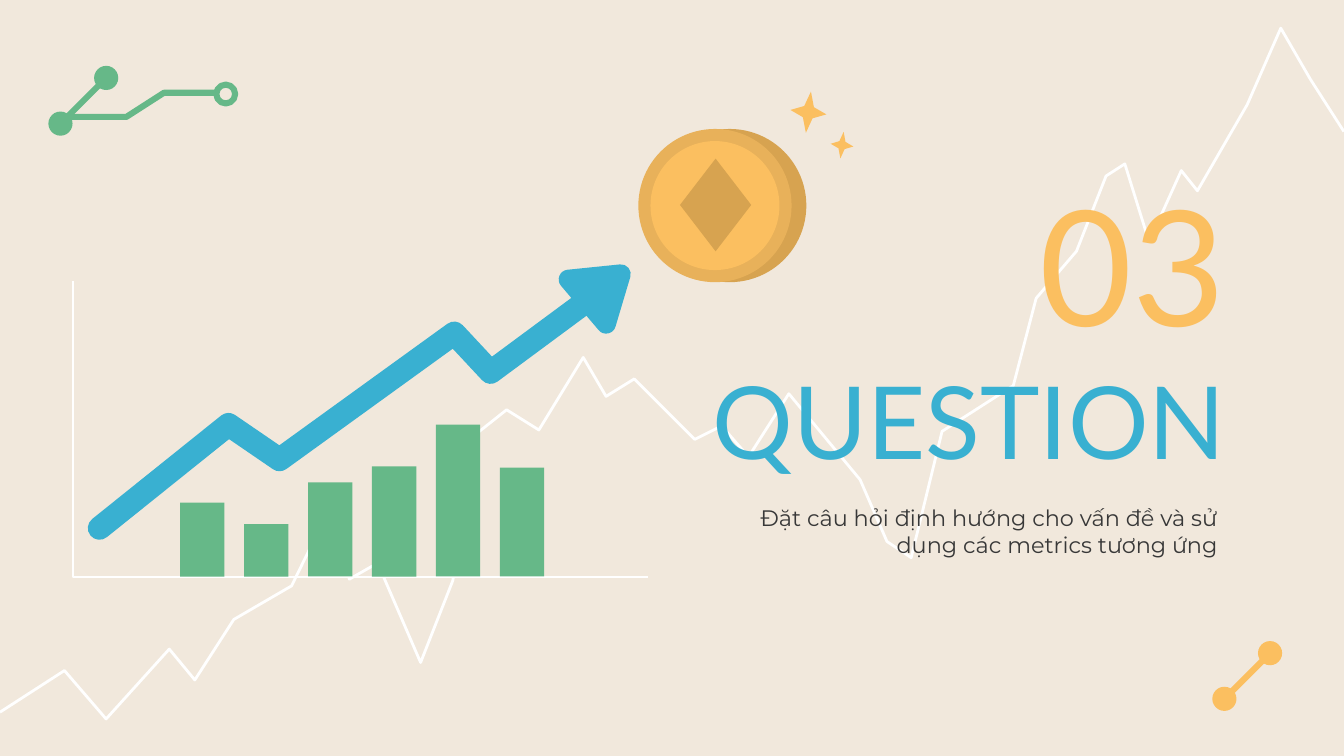
import pptx
import pptx.dml.color
import pptx.enum.shapes
import pptx.enum.text
import pptx.oxml.ns
import pptx.util
from lxml import etree
from pptx.util import Inches

SHAPE = pptx.enum.shapes.MSO_SHAPE
ALIGN = pptx.enum.text.PP_ALIGN
ANCHOR = pptx.enum.text.MSO_ANCHOR

COLORS = {
    "background": "F1E8DC",
    "white": "FFFFFF",
    "green": "66B888",
    "blue": "39B0D1",
    "gold": "FBBF60",
    "gold_rim": "E8B15A",
    "gold_dark": "D7A350",
    "ink": "383838",
}

PRICE_HISTORY = [
    (0, 5.3), (0.48, 4.99), (0.79, 5.35), (1.26, 4.83), (1.45, 5.06),
    (1.74, 4.61), (2.17, 4.36), (2.44, 3.81), (2.6, 4.31), (2.81, 4.19),
    (3.13, 4.93), (3.37, 4.32), (3.53, 3.24), (3.77, 3.05), (4.01, 3.2),
    (4.34, 2.66), (4.51, 2.95), (4.72, 2.82), (5.17, 3.27), (5.37, 3.17),
    (5.57, 3.4), (5.87, 2.93), (6.4, 3.57), (6.6, 4.03), (6.78, 4.15),
    (7.01, 3.21), (7.54, 2.87), (7.71, 2.22), (8.01, 1.87), (8.23, 1.31),
    (8.37, 1.22), (8.55, 1.8), (8.79, 1.27), (8.91, 1.42), (9.28, 0.78),
    (9.53, 0.21), (9.75, 0.59), (10, 0.98),
]
GROWTH_TREND = [(0.74, 3.93), (1.7, 3.16), (2.08, 3.42), (3.38, 2.48),
                (3.65, 2.77), (4.42, 2.2)]
TREND_HEAD = [(4.23, 2.08), (4.62, 2.04), (4.51, 2.41)]

BAR_TOPS = [3.74, 3.9, 3.59, 3.47, 3.16, 3.48]
BAR_LEFT, BAR_WIDTH, BAR_PITCH = 1.34, 0.33, (3.72 - 1.34) / 5
AXIS_LEFT, AXIS_TOP, AXIS_RIGHT, BASELINE = 0.54, 2.09, 4.82, 4.29


def rgb(name):
    return pptx.dml.color.RGBColor.from_string(COLORS[name])


class SlidePainter:
    def __init__(self, slide):
        self.slide = slide
        slide.background.fill.solid()
        slide.background.fill.fore_color.rgb = rgb("background")

    def style(self, shape, fill=None, line=None, width=0):
        shape.shadow.inherit = False
        if fill:
            shape.fill.solid()
            shape.fill.fore_color.rgb = rgb(fill)
        else:
            shape.fill.background()
        if line:
            shape.line.color.rgb = rgb(line)
            shape.line.width = pptx.util.Pt(width)
        else:
            shape.line.fill.background()

    def preset(self, kind, left, top, width, height, fill=None, line=None,
               line_width=0):
        shape = self.slide.shapes.add_shape(
            kind, Inches(left), Inches(top), Inches(width), Inches(height))
        self.style(shape, fill, line, line_width)
        return shape

    def circle(self, center_x, center_y, diameter, fill=None, line=None,
               line_width=0):
        return self.preset(SHAPE.OVAL, center_x - diameter / 2,
                           center_y - diameter / 2, diameter, diameter,
                           fill, line, line_width)

    def path_of(self, points, line, width, fill=None, rounded=False):
        """Draw a polyline; a fill closes it, rounded softens ends and corners."""
        (start_x, start_y), *rest = [(Inches(x), Inches(y)) for x, y in points]
        builder = self.slide.shapes.build_freeform(start_x, start_y)
        builder.add_line_segments(rest, close=fill is not None)
        shape = builder.convert_to_shape()
        self.style(shape, fill, line, width)
        if rounded:
            stroke = shape._element.spPr.find(pptx.oxml.ns.qn("a:ln"))
            stroke.set("cap", "rnd")
            etree.SubElement(stroke, pptx.oxml.ns.qn("a:round"))

    def connector(self, start, end, color, width):
        link = self.slide.shapes.add_connector(
            pptx.enum.shapes.MSO_CONNECTOR.STRAIGHT,
            *(Inches(value) for value in (*start, *end)))
        link.line.color.rgb = rgb(color)
        link.line.width = pptx.util.Pt(width)
        etree.SubElement(link._element.spPr, pptx.oxml.ns.qn("a:effectLst"))

    def node_pair(self, lower, upper, color):
        self.connector(lower, upper, color, 3.25)
        for center in (lower, upper):
            self.circle(*center, 0.18, color)

    def sparkle(self, left, top, width, height):
        star = self.preset(SHAPE.STAR_4_POINT, left, top, width, height, "gold")
        star.adjustments[0] = 0.19
        star.rotation = 7

    def text(self, wording, left, top, width, height, font, size, color,
             anchor=ANCHOR.MIDDLE):
        box = self.slide.shapes.add_textbox(
            Inches(left), Inches(top), Inches(width), Inches(height))
        frame = box.text_frame
        frame.word_wrap = True
        frame.vertical_anchor = anchor
        frame.margin_left = frame.margin_right = Inches(0.1)
        frame.margin_top = frame.margin_bottom = Inches(0.1)
        paragraph = frame.paragraphs[0]
        paragraph.text = wording
        paragraph.alignment = ALIGN.RIGHT
        paragraph.font.name = font
        paragraph.font.size = pptx.util.Pt(size)
        paragraph.font.color.rgb = rgb(color)


def main():
    deck = pptx.Presentation()
    deck.slide_width = Inches(10)
    deck.slide_height = deck.slide_width * 9 // 16
    painter = SlidePainter(deck.slides.add_slide(deck.slide_layouts[6]))

    painter.path_of(PRICE_HISTORY, "white", 1.5)

    painter.path_of([(0.5, 0.87), (0.94, 0.87), (1.22, 0.69), (1.62, 0.69)],
                    "green", 3.25)
    painter.circle(1.68, 0.7, 0.14, line="green", line_width=3.25)
    painter.node_pair((0.45, 0.92), (0.79, 0.58), "green")
    painter.node_pair((9.11, 5.2), (9.45, 4.86), "gold")

    painter.text("QUESTION", 3.76, 2.57, 5.46, 1.09, "Lato", 54, "blue")
    painter.text("03", 5.61, 1.34, 3.61, 1.23, "Lato", 86, "gold")

    painter.path_of([(AXIS_LEFT, AXIS_TOP), (AXIS_LEFT, BASELINE),
                     (AXIS_RIGHT, BASELINE)], "white", 1.08)
    for index, top in enumerate(BAR_TOPS):
        painter.preset(SHAPE.RECTANGLE, BAR_LEFT + index * BAR_PITCH, top,
                       BAR_WIDTH, BASELINE - top, "green")
    painter.path_of(GROWTH_TREND, "blue", 12.5, rounded=True)
    painter.path_of(TREND_HEAD, "blue", 10.5, fill="blue", rounded=True)

    painter.circle(5.43, 1.53, 1.14, "gold_dark")
    painter.circle(5.32, 1.53, 1.14, "gold_rim")
    painter.circle(5.32, 1.53, 0.96, "gold")
    painter.preset(SHAPE.DIAMOND, 5.06, 1.18, 0.53, 0.69, "gold_dark")
    painter.sparkle(5.88, 0.68, 0.27, 0.31)
    painter.sparkle(6.18, 0.98, 0.17, 0.2)

    painter.text("Đặt câu hỏi định hướng cho vấn đề và sử dụng các metrics "
                 "tương ứng", 5.55, 3.65, 3.61, 0.72, "Montserrat", 12, "ink",
                 ANCHOR.TOP)
    deck.save("out.pptx")


if __name__ == "__main__":
    main()
